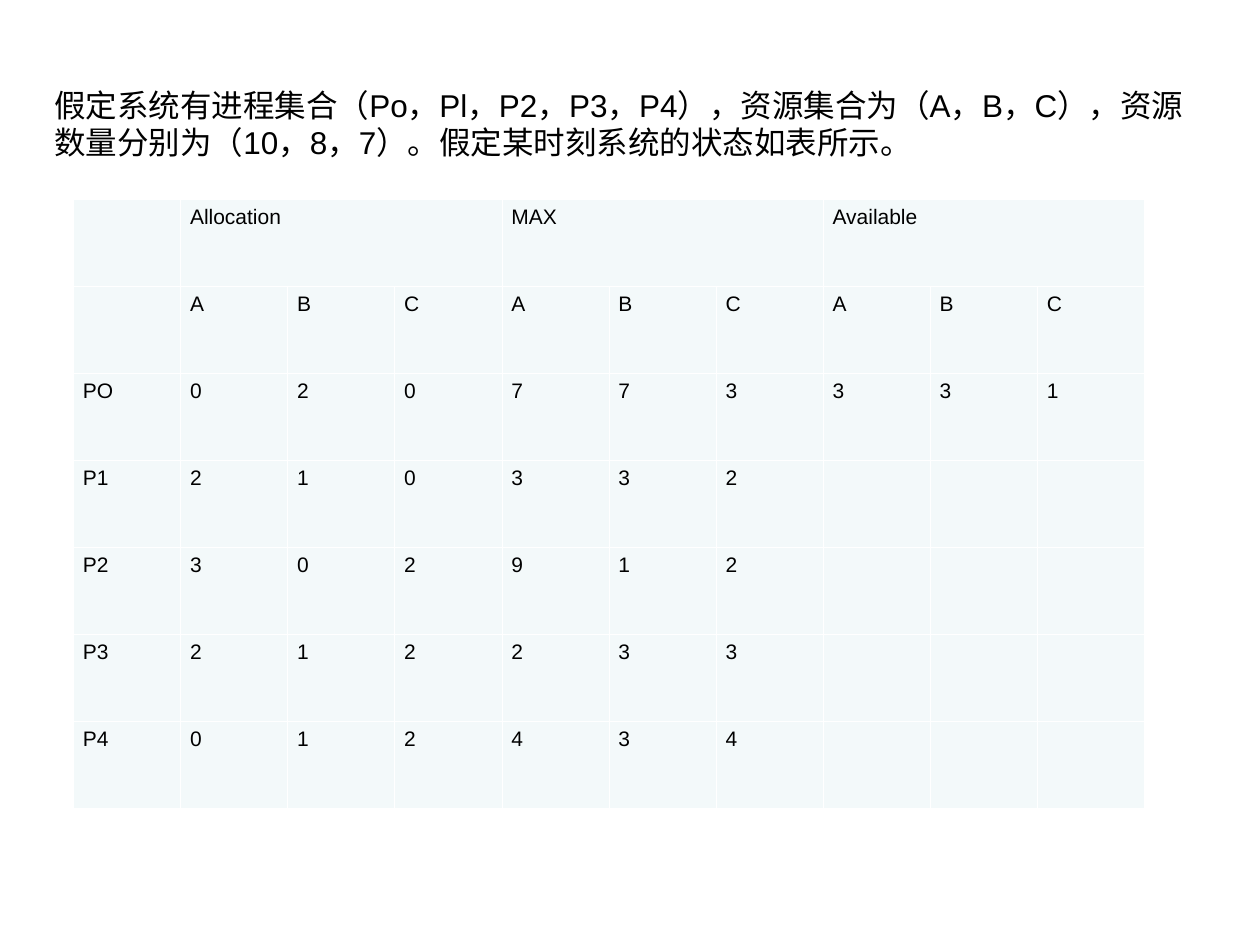
from lxml import etree
from pptx import Presentation
from pptx.dml.color import RGBColor
from pptx.enum.text import MSO_AUTO_SIZE, PP_ALIGN
from pptx.oxml.ns import qn
from pptx.util import Pt

LEFT, JUSTIFY = PP_ALIGN.LEFT, PP_ALIGN.JUSTIFY
GROW = MSO_AUTO_SIZE.SHAPE_TO_FIT_TEXT

COLORS = {"text": "000000", "cell": "F3F9FA", "border": "FFFFFF"}
FONT = "Arial"

INTRO = ("假定系统有进程集合（Po，Pl，P2，P3，P4），资源集合为（A，B，C），"
         "资源数量分别为（10，8，7）。假定某时刻系统的状态如表所示。")
GROUPS = ["Allocation", "MAX", "Available"]
RESOURCES = ["A", "B", "C"]
PROCESSES = {
    "PO": "020773331",
    "P1": "210332",
    "P2": "302912",
    "P3": "212233",
    "P4": "012434",
}


def write_text(tf, text, size=12, align=LEFT, color="text"):
    p = tf.paragraphs[0]
    p.alignment = align
    r = p.add_run()
    r.text = text
    r.font.size = Pt(size)
    r.font.name = FONT
    r.font.color.rgb = RGBColor.from_string(COLORS[color])


def add_intro(s, left, top, width, height):
    tf = s.shapes.add_textbox(Pt(left), Pt(top), Pt(width), Pt(height)).text_frame
    tf.word_wrap = True
    tf.auto_size = GROW
    write_text(tf, INTRO, size=18)


def style_cell(cell):
    """Set margins, borders and fill; the borders must precede the fill."""
    cell.margin_left = cell.margin_right = Pt(5.4)
    cell.margin_top = cell.margin_bottom = Pt(3.6)
    tc_pr = cell._tc.get_or_add_tcPr()
    for side in ("a:lnL", "a:lnR", "a:lnT", "a:lnB"):
        line = etree.SubElement(tc_pr, qn(side), w=str(Pt(0.45)))
        fill = etree.SubElement(line, qn("a:solidFill"))
        etree.SubElement(fill, qn("a:srgbClr"), val=COLORS["border"])
    cell.fill.solid()
    cell.fill.fore_color.rgb = RGBColor.from_string(COLORS["cell"])


def add_state_table(s, left, top, width, height):
    span = len(RESOURCES)
    group_row = [""]
    for group in GROUPS:
        group_row += [group] + [""] * (span - 1)
    rows = [group_row, ["", *RESOURCES * len(GROUPS)]]
    rows += [[name, *values] for name, values in PROCESSES.items()]
    n_rows, n_cols = len(rows), len(group_row)

    table = s.shapes.add_table(n_rows, n_cols, Pt(left), Pt(top),
                               Pt(width), Pt(height)).table
    table.first_row = table.horz_banding = False
    for column in table.columns:
        column.width = Pt(width / n_cols)
    for row in table.rows:
        row.height = Pt(height / n_rows)
        for cell in row.cells:
            style_cell(cell)
    for i, values in enumerate(rows):
        for j, value in enumerate(values):
            if value:
                write_text(table.cell(i, j).text_frame, value, align=JUSTIFY)
    for j in range(1, n_cols, span):
        table.cell(0, j).merge(table.cell(0, j + span - 1))


def main():
    prs = Presentation()
    prs.slide_width, prs.slide_height = Pt(720), Pt(540)
    s = prs.slides.add_slide(prs.slide_layouts[6])
    add_intro(s, 24, 45.4, 660, 50.4)
    add_state_table(s, 42, 114, 612, 348)
    prs.save("out.pptx")


if __name__ == "__main__":
    main()
